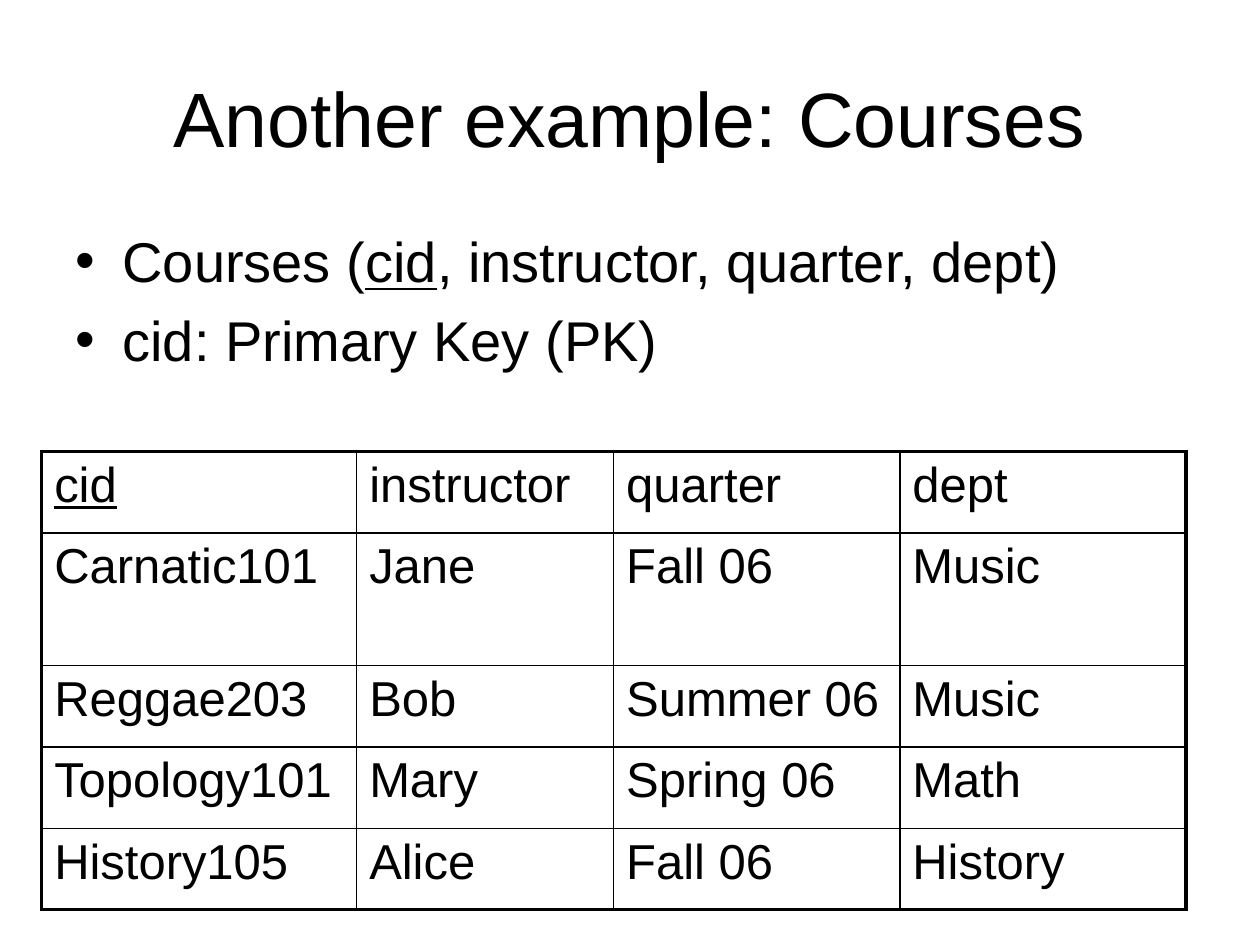
from lxml import etree
from pptx import Presentation
from pptx.dml.color import RGBColor
from pptx.enum.text import MSO_ANCHOR, PP_ALIGN
from pptx.oxml.ns import qn
from pptx.util import Cm, Pt

CENTER = PP_ALIGN.CENTER
TOP, MIDDLE = MSO_ANCHOR.TOP, MSO_ANCHOR.MIDDLE

COLORS = {"text": "000000", "border": "000000"}
FONT = "Arial"
KEY = "cid"
INNER_BORDER, OUTER_BORDER = Pt(1), Pt(2.25)

COL_WIDTHS = [6.35, 5.18, 5.77, 5.77]
ROW_HEIGHTS = [1.64, 2.68, 1.64, 1.64, 1.64]
COURSES = [
    [KEY, "instructor", "quarter", "dept"],
    ["Carnatic101", "Jane", "Fall 06", "Music"],
    ["Reggae203", "Bob", "Summer 06", "Music"],
    ["Topology101", "Mary", "Spring 06", "Math"],
    ["History105", "Alice", "Fall 06", "History"],
]


def add_run(p, text, size, underline=False):
    r = p.add_run()
    r.text = text
    font_format = {"name": FONT, "size": Pt(size), "underline": underline}
    for name, value in font_format.items():
        setattr(r.font, name, value)
    r.font.color.rgb = RGBColor.from_string(COLORS["text"])


def space_before(p, percent):
    """Set paragraph spacing relative to the line height."""
    spacing = etree.SubElement(p._p.get_or_add_pPr(), qn("a:spcBef"))
    etree.SubElement(spacing, qn("a:spcPct"), val=str(percent * 1000))


def add_bullet(p):
    pPr = p._p.get_or_add_pPr()
    pPr.set("marL", str(Cm(0.95)))
    pPr.set("indent", str(-Cm(0.95)))
    etree.SubElement(pPr, qn("a:buFont"), typeface=FONT)
    etree.SubElement(pPr, qn("a:buChar"), char="•")


def add_text_box(slide, left, top, width, height, anchor):
    tf = slide.shapes.add_textbox(Cm(left), Cm(top), Cm(width), Cm(height)).text_frame
    tf.word_wrap = True
    tf.vertical_anchor = anchor
    return tf


def add_title(slide, text):
    p = add_text_box(slide, 1.27, 0.76, 22.86, 3.18, MIDDLE).paragraphs[0]
    p.alignment = CENTER
    add_run(p, text, 44)


def add_bullets(slide, items):
    """Add one bullet per item; an item is a list of (text, underline) runs."""
    tf = add_text_box(slide, 1.27, 4.45, 23.29, 3.18, TOP)
    for i, runs in enumerate(items):
        p = tf.add_paragraph() if i else tf.paragraphs[0]
        space_before(p, 20)
        add_bullet(p)
        for text, underline in runs:
            add_run(p, text, 32, underline)


def set_borders(cell, widths):
    """Draw the cell borders, given as widths by side in L, R, T, B order."""
    tcPr = cell._tc.get_or_add_tcPr()
    for i, (side, width) in enumerate(widths.items()):
        ln = etree.Element(qn(f"a:ln{side}"), w=str(width))
        fill = etree.SubElement(ln, qn("a:solidFill"))
        etree.SubElement(fill, qn("a:srgbClr"), val=COLORS["border"])
        tcPr.insert(i, ln)


def add_course_table(slide, rows):
    n_rows, n_cols = len(rows), len(rows[0])
    table = slide.shapes.add_table(
        n_rows, n_cols, Cm(0.84), Cm(9.1), Cm(sum(COL_WIDTHS)), Cm(sum(ROW_HEIGHTS))
    ).table
    table.first_row = table.horz_banding = False
    for column, width in zip(table.columns, COL_WIDTHS):
        column.width = Cm(width)
    for row, height in zip(table.rows, ROW_HEIGHTS):
        row.height = Cm(height)

    for i, values in enumerate(rows):
        for j, value in enumerate(values):
            cell = table.cell(i, j)
            cell.fill.background()
            outer = {"L": j == 0, "R": j == n_cols - 1, "T": i == 0, "B": i == n_rows - 1}
            set_borders(cell, {side: OUTER_BORDER if is_outer else INNER_BORDER
                               for side, is_outer in outer.items()})
            p = cell.text_frame.paragraphs[0]
            space_before(p, 20)
            add_run(p, value, 28, underline=value == KEY)


def main():
    prs = Presentation()
    prs.slide_width, prs.slide_height = Cm(25.4), Cm(19.05)
    slide = prs.slides.add_slide(prs.slide_layouts[6])
    add_title(slide, "Another example: Courses")
    add_bullets(slide, [
        [("Courses (", False), (KEY, True), (", instructor, quarter, dept)", False)],
        [("cid: Primary Key (PK)", False)],
    ])
    add_course_table(slide, COURSES)
    prs.save("out.pptx")


if __name__ == "__main__":
    main()
